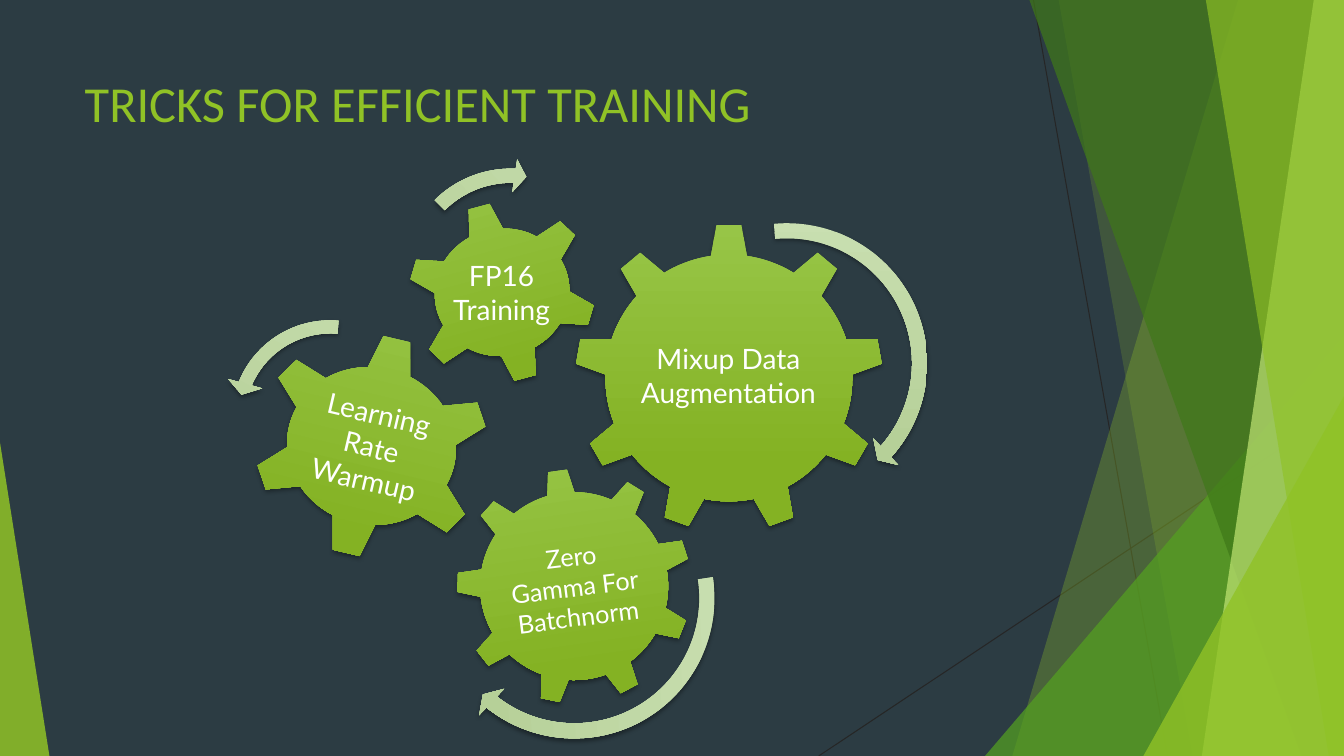
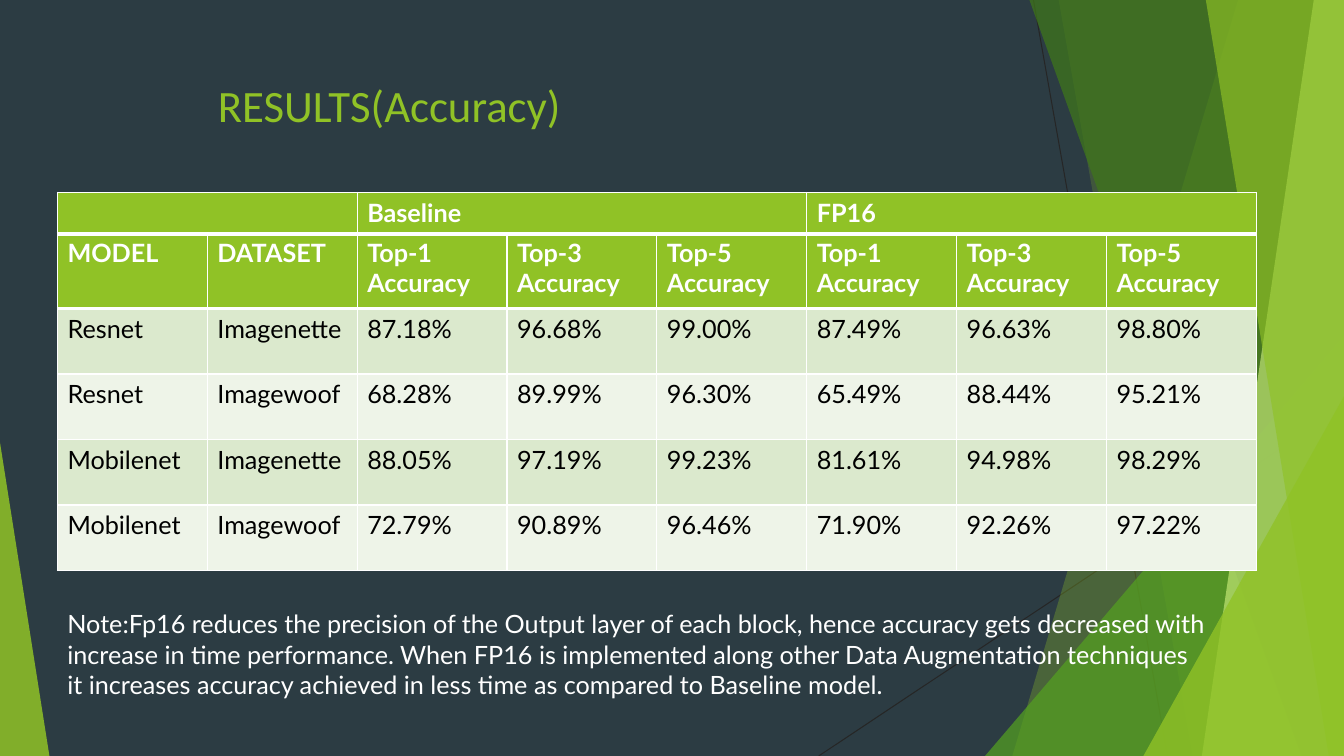
"""Build two slides on training tricks and their accuracy results."""
from dataclasses import dataclass

from lxml.etree import SubElement
from pptx import Presentation
from pptx.dml.color import RGBColor as RGB
from pptx.enum.shapes import MSO_CONNECTOR as CONN, MSO_SHAPE as SHAPE
from pptx.enum.text import MSO_ANCHOR as ANCHOR, MSO_AUTO_SIZE as AUTO, PP_ALIGN as ALIGN
from pptx.oxml.ns import qn
from pptx.util import Inches, Pt


@dataclass(frozen=True)
class Theme:
    width: float = 13.33
    height: float = 7.5
    back: str = "2C3C43"
    green: str = "90C226"
    leaf: str = "54A021"
    forest: str = "3F7819"
    lime: str = "C0E474"
    thin_line: str = "262626"
    white: str = "FFFFFF"
    black: str = "000000"
    gear: tuple = ("97C547", "84B223")
    arrow: tuple = ("C9DFB1", "B6D098")
    stripes: tuple = ("DBE9CD", "EEF4E8")
    title_font: str = "Calibri"
    body_font: str = "Lato"
    title_size: int = 36
    small_title: int = 32
    label: int = 20
    body: int = 18


def box(left, top, width, height):
    return [Inches(v) for v in (left, top, width, height)]


class Deck:
    def __init__(self, theme):
        self.theme = theme
        self.prs = Presentation()
        self.prs.slide_width = Inches(theme.width)
        self.prs.slide_height = Inches(theme.height)
        fill = self.prs.slide_master.background.fill
        fill.solid()
        fill.fore_color.rgb = RGB.from_string(theme.back)
        self.slide = None

    def new_slide(self, title, at, size, anchor):
        self.slide = self.prs.slides.add_slide(self.prs.slide_layouts[5])
        sp = self.slide.shapes.title
        sp.left, sp.top, sp.width, sp.height = box(*at)
        self.set_text(sp.text_frame, title, size, self.theme.green, self.theme.title_font)
        sp.text_frame.vertical_anchor = anchor
        sp.text_frame.auto_size = AUTO.NONE

    def set_text(self, tf, text, size, color, font=None, bold=False, align=ALIGN.LEFT):
        tf.text = text
        p = tf.paragraphs[0]
        p.alignment = align
        for r in p.runs:
            r.font.name = font or self.theme.body_font
            r.font.size = Pt(size)
            r.font.bold = bold
            r.font.color.rgb = RGB.from_string(color)

    def text(self, text, at, size, align=ALIGN.LEFT, rotation=0, anchor=ANCHOR.TOP, inset=None):
        sp = self.slide.shapes.add_textbox(*box(*at))
        sp.rotation = rotation
        tf = sp.text_frame
        tf.word_wrap = True
        tf.vertical_anchor = anchor
        if inset is not None:
            tf.margin_left = tf.margin_right = tf.margin_top = tf.margin_bottom = Inches(inset)
        self.set_text(tf, text, size, self.theme.white, align=align)

    def line(self, x1, y1, x2, y2):
        sp = self.slide.shapes.add_connector(CONN.STRAIGHT, *box(x1, y1, x2, y2))
        sp.line.color.rgb = RGB.from_string(self.theme.thin_line)
        sp.line.width = Pt(0.75)
        SubElement(sp.element.spPr, qn("a:effectLst"))
        return sp

    def tint(self, sp, color, opacity):
        sp.shadow.inherit = False
        sp.line.fill.background()
        sp.fill.solid()
        sp.fill.fore_color.rgb = RGB.from_string(color)
        clr = sp.element.spPr.find(qn("a:solidFill"))[0]
        SubElement(clr, qn("a:alpha"), val=str(opacity * 1000))
        return sp

    def band(self, top_x, bottom_x, color, opacity):
        right, bottom = Inches(self.theme.width), Inches(self.theme.height)
        outline = self.slide.shapes.build_freeform(Inches(top_x), 0)
        outline.add_line_segments([(right, 0), (right, bottom), (Inches(bottom_x), bottom)])
        return self.tint(outline.convert_to_shape(), color, opacity)

    def corner(self, left, top, width, apex, color, opacity):
        at = box(left, top, width, self.theme.height - top)
        sp = self.slide.shapes.add_shape(SHAPE.ISOSCELES_TRIANGLE, *at)
        sp.adjustments[0] = apex
        return self.tint(sp, color, opacity)

    def master_bands(self):
        t = self.theme
        shapes = [
            self.line(10.25, 0, 11.58, t.height),
            self.line(t.width, 4.03, 8.12, t.height),
            self.band(12.28, 10.04, t.green, 30),
            self.band(10.5, 11.83, t.green, 20),
            self.corner(9.77, 3.33, 3.56, 1, t.leaf, 72),
            self.band(10.21, 12.91, t.forest, 70),
            self.band(13.03, 11.92, t.lime, 70),
            self.band(11.96, 13.18, t.green, 65),
            self.corner(11.34, 3.93, 1.99, 1, t.green, 80),
            self.corner(0, 4.39, 0.49, 0, t.green, 85),
        ]
        tree = self.prs.slide_master.shapes.element
        for i, sp in enumerate(shapes):
            sp.element.xpath(".//p:cNvPr")[0].set("id", str(100 + i))
            tree.insert(2 + i, sp.element)

    def glossy(self, kind, at, colors, rotation=0, adjust=()):
        sp = self.slide.shapes.add_shape(kind, *box(*at))
        sp.rotation = rotation
        for i, value in enumerate(adjust):
            sp.adjustments[i] = value
        sp.line.fill.background()
        sp.fill.gradient()
        sp.fill.gradient_angle = 270
        for stop, color, position in zip(sp.fill.gradient_stops, colors, (0, 0.78)):
            stop.color.rgb = RGB.from_string(color)
            stop.position = position
        sp.shadow.inherit = False
        effects = sp.element.spPr.find(qn("a:effectLst"))
        shadow = SubElement(effects, qn("a:outerShdw"), blurRad=str(Pt(3)), dist=str(Pt(2)),
                            dir="5400000", rotWithShape="0")
        clr = SubElement(shadow, qn("a:srgbClr"), val=self.theme.black)
        SubElement(clr, qn("a:alpha"), val="35000")

    def borders(self, cell, top, bottom):
        tc_pr = cell._tc.get_or_add_tcPr()
        for i, (side, width) in enumerate((("L", 1), ("R", 1), ("T", top), ("B", bottom))):
            ln = SubElement(tc_pr, qn(f"a:ln{side}"), w=str(Pt(width)))
            fill = SubElement(ln, qn("a:solidFill"))
            SubElement(fill, qn("a:srgbClr"), val=self.theme.white)
            tc_pr.insert(i, ln)

    def table(self, rows, left, top, widths, heights):
        t = self.theme
        at = box(left, top, sum(widths), sum(heights))
        table = self.slide.shapes.add_table(len(rows), len(widths), *at).table
        table.first_row = table.horz_banding = False
        for col, width in zip(table.columns, widths):
            col.width = Inches(width)
        for i, (row, height) in enumerate(zip(rows, heights)):
            table.rows[i].height = Inches(height)
            head = i == 0
            for j, text in enumerate(row):
                cell = table.cell(i, j)
                self.set_text(cell.text_frame, text, t.body, t.white if head else t.black, bold=head)
                cell.fill.solid()
                color = t.green if head else t.stripes[(i - 1) % 2]
                cell.fill.fore_color.rgb = RGB.from_string(color)
                self.borders(cell, 3 if i == 1 else 1, 3 if head else 1)


def tricks_slide(deck):
    t = deck.theme
    deck.new_slide("TRICKS FOR EFFICIENT TRAINING", (0.74, 0.67, 9.4, 1.44), t.title_size, ANCHOR.TOP)
    deck.master_bands()

    label = {"size": t.label, "align": ALIGN.CENTER, "anchor": ANCHOR.MIDDLE, "inset": 0.03}
    gears = [
        (SHAPE.GEAR_9, (5.7, 2.22, 3.06, 3.06), 0,
         "Mixup Data Augmentation", (6.31, 2.94, 1.83, 1.57), 0, label),
        (SHAPE.GEAR_6, (2.51, 3.31, 2.35, 2.23), 13.3,
         "Learning Rate Warmup", (3.09, 3.88, 1.19, 1.1), 13.3, label),
        (SHAPE.GEAR_6, (4.04, 2, 1.88, 1.8), 345,
         "FP16 Training", (4.45, 2.39, 1.05, 1.02), 0, label),
        (SHAPE.GEAR_9, (4.53, 4.65, 2.33, 2.33), 351.8,
         "Zero Gamma For Batchnorm", (4.91, 5.32, 1.58, 1.01), 353,
         {"size": t.body, "align": ALIGN.CENTER}),
    ]
    for kind, at, turn, text, text_at, text_turn, style in gears:
        deck.glossy(kind, at, t.gear, turn)
        deck.text(text, text_at, rotation=text_turn, **style)

    long_arc = (0.05, 2.99, 25.08, 158.78, 0.06)
    arrows = [
        (SHAPE.CIRCULAR_ARROW, (6.31, 2.11, 2.99, 2.99), 0, long_arc),
        (SHAPE.LEFT_CIRCULAR_ARROW, (2.19, 3.07, 2.17, 2.17), 27.6,
         (0.06, 4.3, 104.89, 148.38, 0.08)),
        (SHAPE.CIRCULAR_ARROW, (3.9, 1.58, 2.34, 2.34), 50.1,
         (0.06, 3.94, 133.14, 105.08, 0.07)),
        (SHAPE.CIRCULAR_ARROW, (4.2, 4.44, 2.99, 2.99), 86.7, long_arc),
    ]
    for kind, at, turn, adjust in arrows:
        deck.glossy(kind, at, t.arrow, turn, adjust)


def results_slide(deck):
    t = deck.theme
    deck.new_slide("RESULTS(Accuracy)", (2.06, 0.45, 9.21, 0.9), t.small_title, ANCHOR.BOTTOM)

    top_k = [f"Top-{k} Accuracy" for k in (1, 3, 5)]
    rows = [
        ["MODEL", "DATASET"] + top_k * 2,
        ["Resnet", "Imagenette", "87.18%", "96.68%", "99.00%", "87.49%", "96.63%", "98.80%"],
        ["Resnet", "Imagewoof", "68.28%", "89.99%", "96.30%", "65.49%", "88.44%", "95.21%"],
        ["Mobilenet", "Imagenette", "88.05%", "97.19%", "99.23%", "81.61%", "94.98%", "98.29%"],
        ["Mobilenet", "Imagewoof", "72.79%", "90.89%", "96.46%", "71.90%", "92.26%", "97.22%"],
    ]
    left, col = 0.57, 11.89 / 8
    deck.table(rows, left, 2.31, [col] * 8, [0.75] + [0.65] * 4)
    deck.table([["", "Baseline", "FP16"]], left, 1.91, [col * n for n in (2, 3, 3)], [0.41])
    deck.text(
        "Note:Fp16 reduces the precision of the Output layer of each block, hence accuracy gets "
        "decreased with increase in time performance. When FP16 is implemented along other Data "
        "Augmentation techniques it increases accuracy achieved in less time as compared to "
        "Baseline model.", (left, 5.99, 11.5, 1.01), t.body)


def main():
    deck = Deck(Theme())
    tricks_slide(deck)
    results_slide(deck)
    deck.prs.save("out.pptx")


if __name__ == "__main__":
    main()
